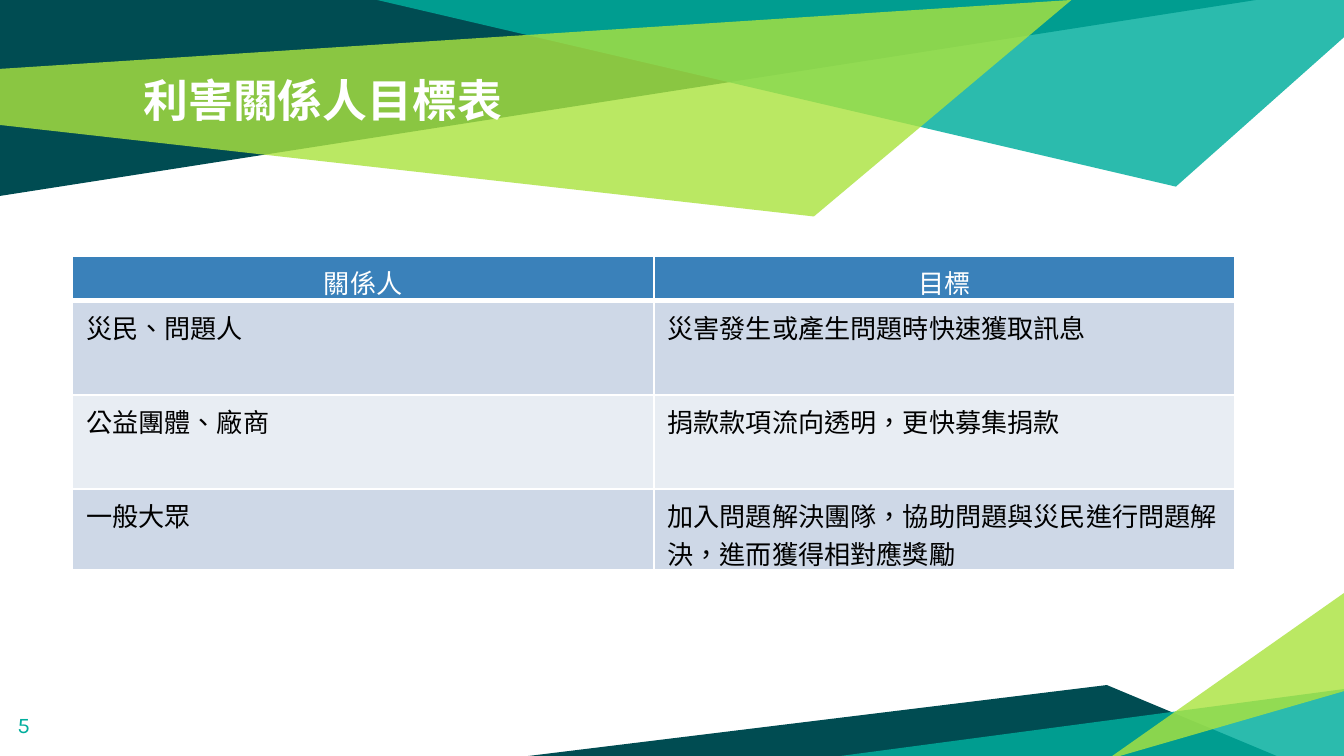
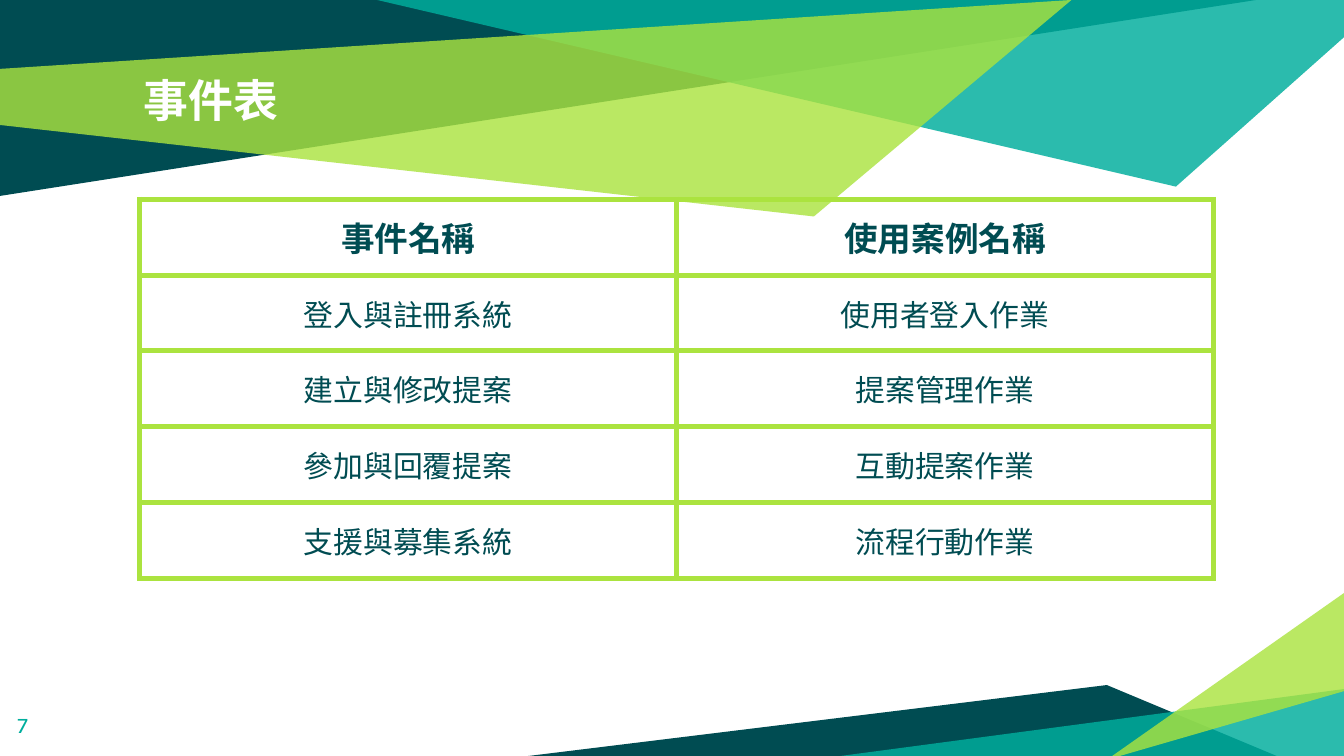
from lxml import etree
from pptx import Presentation
from pptx.dml.color import RGBColor
from pptx.enum.lang import MSO_LANGUAGE_ID
from pptx.enum.text import MSO_ANCHOR, PP_ALIGN
from pptx.oxml.ns import qn
from pptx.util import Pt

LEFT, CENTER = PP_ALIGN.LEFT, PP_ALIGN.CENTER
TOP, MIDDLE = MSO_ANCHOR.TOP, MSO_ANCHOR.MIDDLE
CHINESE = MSO_LANGUAGE_ID.TRADITIONAL_CHINESE

WHITE = RGBColor(0xFF, 0xFF, 0xFF)
BLACK = RGBColor(0x00, 0x00, 0x00)
DARK = RGBColor(0x00, 0x4C, 0x52)
TEAL = RGBColor(0x00, 0xAE, 0x9D)
LIME = RGBColor(0xAB, 0xE3, 0x3F)
BLUE = RGBColor(0x3A, 0x81, 0xBA)
MIST = RGBColor(0xCE, 0xD8, 0xE7)
PALE = RGBColor(0xE8, 0xED, 0xF3)

WIDTH, HEIGHT = 720, 405

# Bands: colour, opacity in percent, corners
BANDS = [
    (DARK, 100, [(0, 0), (0, 105.1), (673.2, 0)]),
    (TEAL, 83, [(201.6, 0), (630, 100.1), (720, 20.2), (720, 0)]),
    (LIME, 81, [(-0.7, 36.7), (0, 67), (435.6, 115.9), (573.8, 0)]),
    (DARK, 100, [(283, 405), (684, 405), (592.6, 367.2)]),
    (TEAL, 83, [(721.4, 369.4), (721.4, 406.8), (434.9, 406.8)]),
    (LIME, 81, [(720.7, 370.1), (720.7, 316.8), (592.6, 406.8)]),
]

TITLE_BOX = (69.8, 31.7, 580.3, 67.7)
PAGE_BOX = (2.2, 373.7, 43.2, 31)
GOAL_BOX = (38.9, 137.2, 622.8, 168)
EVENT_BOX = (74.9, 106.8, 575.2, 203)

GOALS = [
    ("關係人", "目標"),
    ("災民、問題人", "災害發生或產生問題時快速獲取訊息"),
    ("公益團體、廠商", "捐款款項流向透明，更快募集捐款"),
    ("一般大眾", "加入問題解決團隊，協助問題與災民進行問題解決，進而獲得相對應獎勵"),
]
EVENTS = [
    ("事件名稱", "使用案例名稱"),
    ("登入與註冊系統", "使用者登入作業"),
    ("建立與修改提案", "提案管理作業"),
    ("參加與回覆提案", "互動提案作業"),
    ("支援與募集系統", "流程行動作業"),
]


def add_run(frame, text, font, size, color, bold=False, align=LEFT):
    para = frame.paragraphs[0]
    para.alignment = align
    run = para.add_run()
    run.text = text
    run.font.name, run.font.size, run.font.bold = font, Pt(size), bold
    run.font.color.rgb = color
    run.font.language_id = CHINESE


def add_text(slide, box, text, font, size, color, bold=False):
    frame = slide.shapes.add_textbox(*map(Pt, box)).text_frame
    frame.word_wrap = True
    frame.vertical_anchor = TOP
    frame.margin_left = frame.margin_right = Pt(7.2)
    frame.margin_top = frame.margin_bottom = Pt(7.2)
    add_run(frame, text, font, size, color, bold)


def add_bands(slide):
    for color, alpha, points in BANDS:
        path = slide.shapes.build_freeform(*points[0], scale=Pt(1))
        path.add_line_segments(points[1:], close=True)
        band = path.convert_to_shape()
        band.shadow.inherit = False
        band.fill.solid()
        band.fill.fore_color.rgb = color
        band.line.fill.background()
        if alpha < 100:
            tint = band.fill._xPr.find(".//" + qn("a:srgbClr"))
            etree.SubElement(tint, qn("a:alpha"), val=str(alpha * 1000))


def set_edges(cell, color, widths):
    """Draw the left, right, top and bottom borders."""
    props = cell._tc.get_or_add_tcPr()
    for side, width in zip("LRTB", widths):
        line = etree.SubElement(props, qn("a:ln" + side), w=str(Pt(width)))
        fill = etree.SubElement(line, qn("a:solidFill"))
        etree.SubElement(fill, qn("a:srgbClr"), val=str(color))


def add_grid(slide, box, rows, heights):
    """Add a plain table with equal columns; return its cells by row."""
    count = len(rows[0])
    grid = slide.shapes.add_table(len(rows), count, *map(Pt, box)).table
    grid.first_row = grid.horz_banding = False
    for col in grid.columns:
        col.width = Pt(box[2] / count)
    for row, height in zip(grid.rows, heights):
        row.height = Pt(height)
    return [list(row.cells) for row in grid.rows]


def add_goals(slide, box):
    cells = add_grid(slide, box, GOALS, [24, 50.4, 50.4, 43.2])
    for i, row in enumerate(GOALS):
        head = i == 0
        for cell, text in zip(cells[i], row):
            set_edges(cell, WHITE, (1, 1, 1, 3 if head else 1))
            cell.fill.solid()
            cell.fill.fore_color.rgb = BLUE if head else (PALE, MIST)[i % 2]
            add_run(cell.text_frame, text, "Arial", 14,
                    WHITE if head else BLACK, align=CENTER if head else LEFT)


def add_events(slide, box):
    cells = add_grid(slide, box, EVENTS, [box[3] / len(EVENTS)] * len(EVENTS))
    for i, row in enumerate(EVENTS):
        head = i == 0
        for cell, text in zip(cells[i], row):
            set_edges(cell, LIME, (3, 3, 3, 3))
            cell.fill.background()
            cell.vertical_anchor = MIDDLE
            cell.margin_top = cell.margin_bottom = Pt(5)
            add_run(cell.text_frame, text, "Noto Sans CJK SC",
                    18 if head else 16, DARK, head, CENTER)


def add_slide(deck, title, page):
    """Start a slide with the shared bands, title and page number."""
    slide = deck.slides.add_slide(deck.slide_layouts[6])
    add_bands(slide)
    add_text(slide, TITLE_BOX, title, "Manrope", 24, WHITE, True)
    add_text(slide, PAGE_BOX, page, "Karla", 12, TEAL)
    return slide


def main():
    deck = Presentation()
    deck.slide_width, deck.slide_height = Pt(WIDTH), Pt(HEIGHT)
    add_goals(add_slide(deck, "利害關係人目標表", "5"), GOAL_BOX)
    add_events(add_slide(deck, "事件表", "7"), EVENT_BOX)
    deck.save("out.pptx")


if __name__ == "__main__":
    main()
